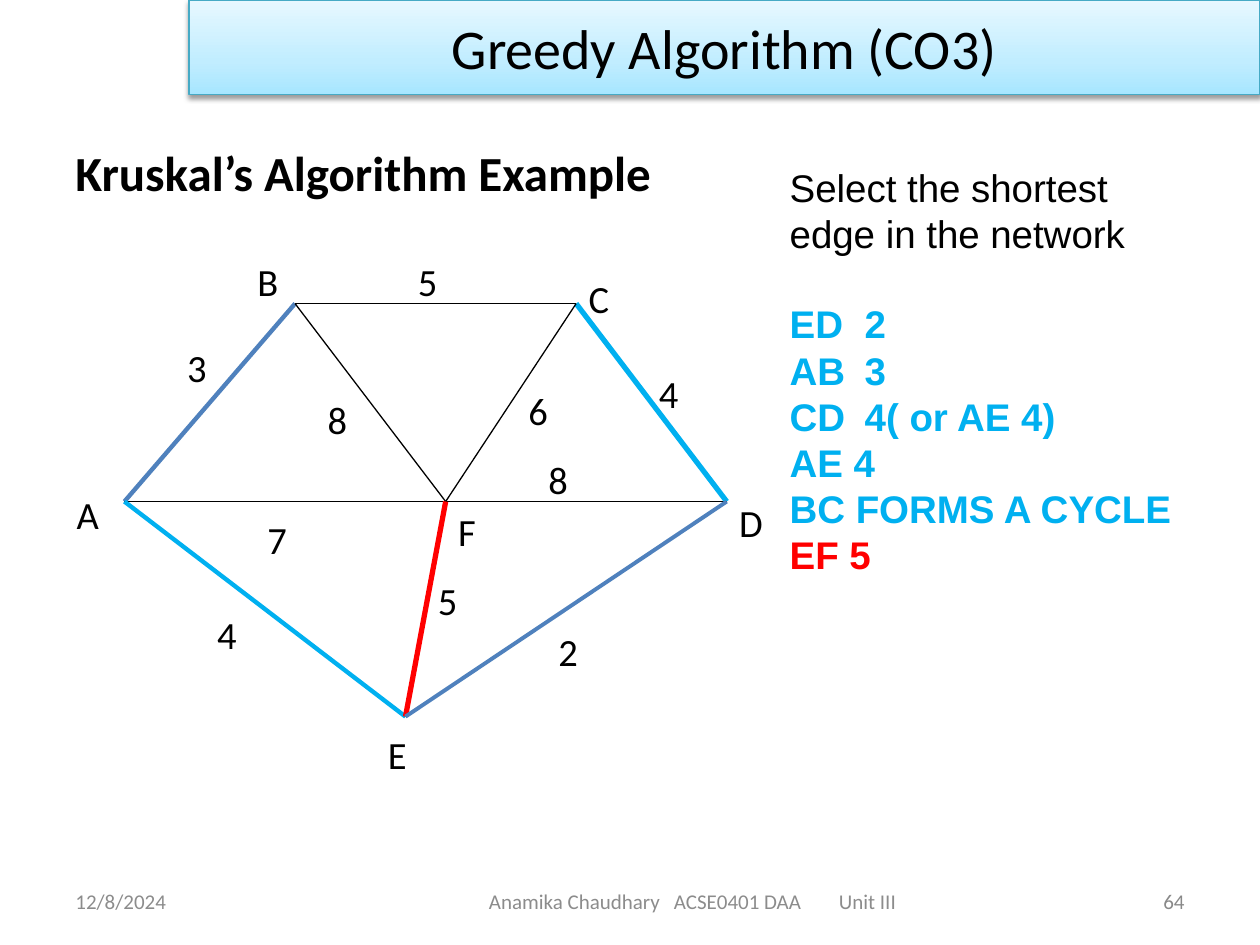
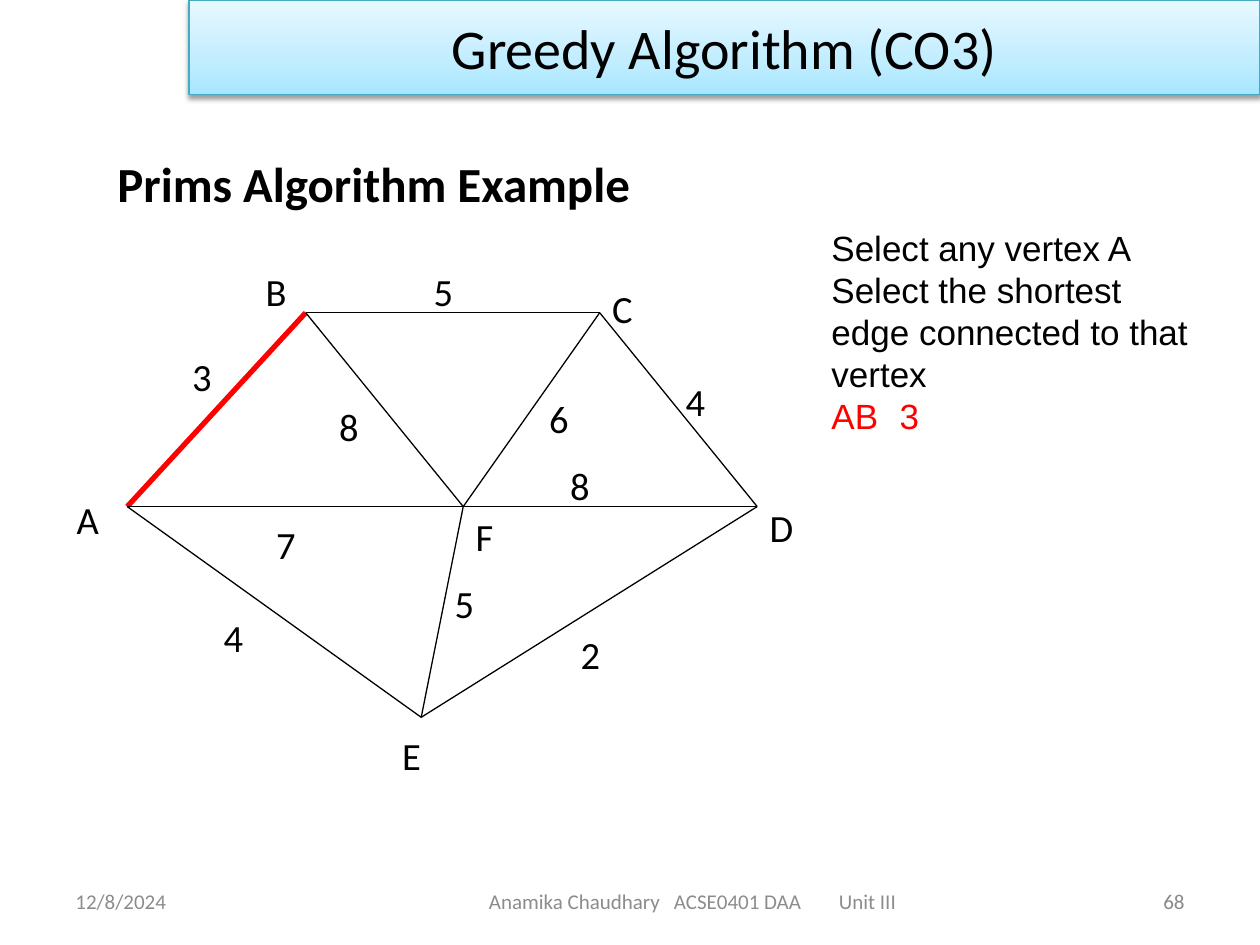
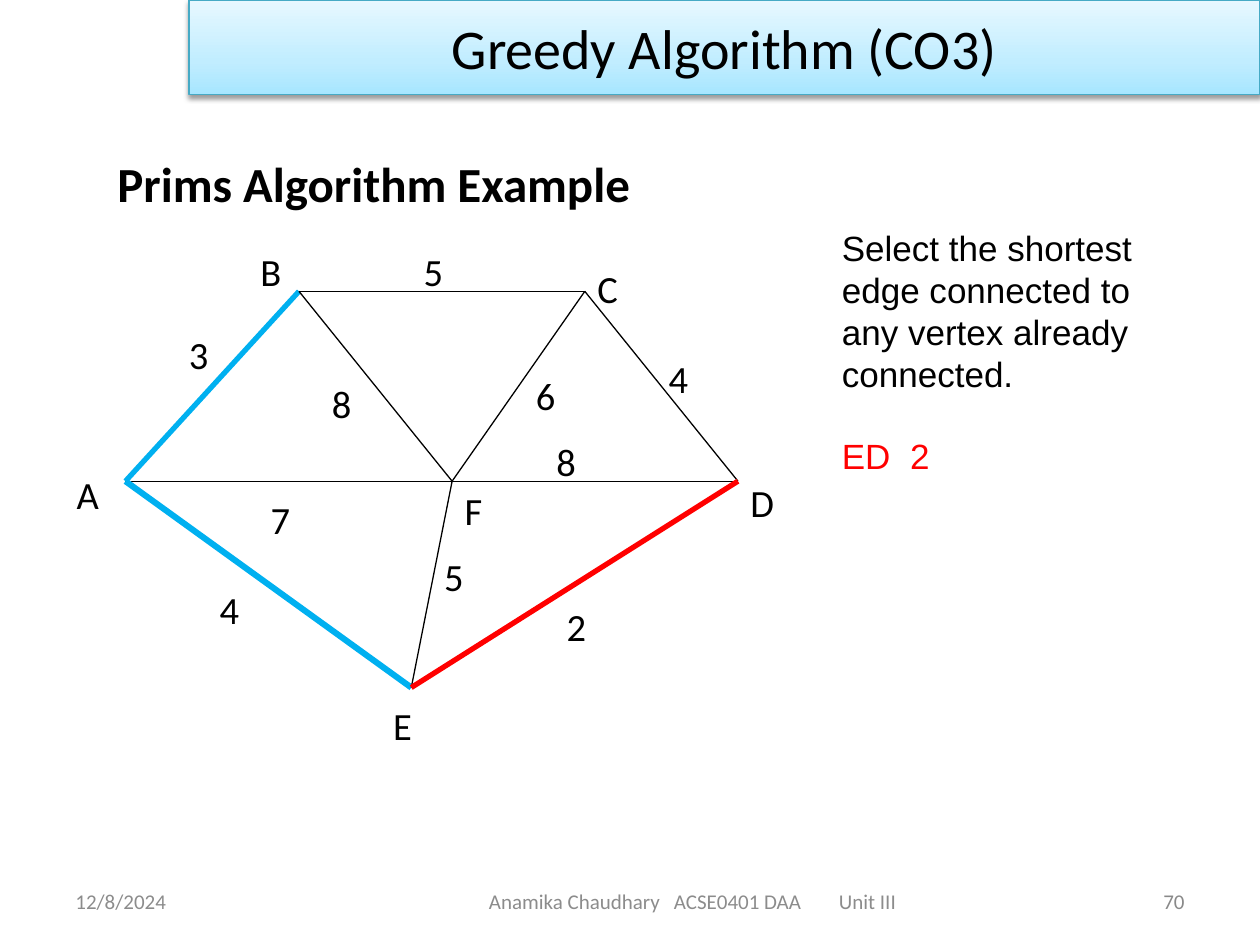
import pptx
import pptx.util
import pptx.dml.color
import pptx.enum.shapes
import pptx.enum.text
import pptx.oxml
import pptx.oxml.ns

Pt = pptx.util.Pt
ALIGN = pptx.enum.text.PP_ALIGN
ANCHOR = pptx.enum.text.MSO_ANCHOR
NS = pptx.oxml.ns.nsdecls("a")

BLACK, RED, SKY, BLUE = "000000", "FF0000", "00B0F0", "4F81BD"
GREY, NUMBER_GREY = "8C8C8C", "898989"
BAND_LINE = "46AAC5"
BAND_STOPS = [(0, "A7E6FF"), (35, "C1EDFF"), (100, "E7F8FF")]

TITLE = {"name": "Calibri", "size": Pt(32), "color": BLACK}
HEADING = {"name": "Calibri", "size": Pt(28), "color": BLACK, "bold": True}
LABEL = {"name": "Calibri", "size": Pt(22), "color": BLACK}
FOOTER = {"name": "Calibri", "size": Pt(12), "color": GREY}

BAND_BOX = (108, 0, 612, 54)
FOOTER_BOX = (36, 500.4, 648, 28.8)

GRID_COLS, GRID_ROWS = 72, 60
LABEL_COLS, LABEL_HEIGHT = 6, 34
VERTICES = {"A": (6, 29), "B": (23, 6), "C": (51, 6),
            "D": (66, 29), "E": (34, 54), "F": (38, 29)}
EDGES = ["AB", "BC", "CD", "AF", "FD", "BF", "FC", "AE", "EF", "ED"]
LABELS = [("A", 0, 27), ("F", 38, 29), ("B", 18, 0), ("C", 51, 2),
          ("D", 66, 28), ("E", 31, 55), ("2", 48, 43), ("7", 19, 30),
          ("4", 14, 41), ("5", 36, 37), ("8", 25, 16), ("6", 45, 15),
          ("4", 58, 13), ("5", 34, 0), ("3", 11, 10), ("8", 47, 23)]

SLIDES = [
    {"number": "64",
     "heading": ("Kruskal’s Algorithm Example", (36, 77.8, 438, 41)),
     "graph": (36.7, 144, 413, 295),
     "chosen": {"AB": (BLUE, 2.5), "CD": (SKY, 3), "AE": (SKY, 2.5),
                "EF": (RED, 3), "ED": (BLUE, 2.25)},
     "notes": {"box": (444.2, 90, 252, 300), "size": 22, "bold": True,
               "intro": ["Select the shortest", "edge in the network"],
               "gap": 25.3,
               "steps": [("ED\t2", SKY), ("AB\t3", SKY),
                         ("CD\t4( or AE 4)", SKY), ("AE 4", SKY),
                         ("BC FORMS A CYCLE", SKY), ("EF 5", RED)]}},
    {"number": "68",
     "heading": ("Prims Algorithm Example", (60, 84, 408, 41)),
     "graph": (36.7, 149.8, 432, 289),
     "chosen": {"AB": (RED, 3)},
     "notes": {"box": (468, 126, 228, 201), "size": 20, "bold": False,
               "intro": ["Select any vertex A",
                         "Select the shortest edge connected to that vertex"],
               "gap": 0,
               "steps": [("AB\t3", RED)]}},
    {"number": "70",
     "heading": ("Prims Algorithm Example", (60, 84, 408, 41)),
     "graph": (36.7, 138.2, 420, 283),
     "chosen": {"AB": (SKY, 3), "AE": (SKY, 3.5), "ED": (RED, 3)},
     "notes": {"box": (474, 126, 222, 225), "size": 20, "bold": False,
               "intro": ["Select the shortest", "edge connected to",
                         "any vertex already", "connected."],
               "gap": 23,
               "steps": [("ED\t2", RED)]}},
]


def rgb(value):
    return pptx.dml.color.RGBColor.from_string(value)


def lengths(box):
    return [Pt(v) for v in box]


def add_run(p, text, fmt):
    r = p.add_run()
    r.text = text
    for key, value in fmt.items():
        if key == "color":
            r.font.color.rgb = rgb(value)
        else:
            setattr(r.font, key, value)


def add_tabs(p, stops):
    tabs = "".join(f'<a:tab pos="{Pt(v)}" algn="l"/>' for v in stops)
    p._p.get_or_add_pPr().append(
        pptx.oxml.parse_xml(f"<a:tabLst {NS}>{tabs}</a:tabLst>"))


def add_text(shapes, box, text, fmt, align=ALIGN.LEFT, anchor=ANCHOR.TOP):
    tf = shapes.add_textbox(*lengths(box)).text_frame
    tf.word_wrap = True
    tf.vertical_anchor = anchor
    p = tf.paragraphs[0]
    p.alignment = align
    add_run(p, text, fmt)
    return tf


def add_band(s, box):
    sp = s.shapes.add_shape(pptx.enum.shapes.MSO_SHAPE.RECTANGLE, *lengths(box))
    sp.line.color.rgb = rgb(BAND_LINE)
    sp.line.width = Pt(0.75)
    stops = "".join(f'<a:gs pos="{pos * 1000}"><a:srgbClr val="{c}"/></a:gs>'
                    for pos, c in BAND_STOPS)
    sp._element.spPr.find(pptx.oxml.ns.qn("a:prstGeom")).addnext(pptx.oxml.parse_xml(
        f'<a:gradFill {NS} rotWithShape="1"><a:gsLst>{stops}</a:gsLst>'
        '<a:lin ang="16200000" scaled="0"/></a:gradFill>'))
    sp.shadow.inherit = False
    sp._element.spPr.find(pptx.oxml.ns.qn("a:effectLst")).append(pptx.oxml.parse_xml(
        f'<a:outerShdw {NS} blurRad="{Pt(3.1)}" dist="{Pt(1.6)}" dir="5400000" '
        'rotWithShape="0"><a:srgbClr val="000000"><a:alpha val="38000"/>'
        '</a:srgbClr></a:outerShdw>'))
    tf = sp.text_frame
    tf.vertical_anchor = ANCHOR.MIDDLE
    p = tf.paragraphs[0]
    p.alignment = ALIGN.CENTER
    add_run(p, "Greedy Algorithm (CO3)", TITLE)


def add_footer(s, box, number):
    x, y, w, h = box
    side = 168
    add_text(s.shapes, (x, y, side, h), "12/8/2024", FOOTER, anchor=ANCHOR.MIDDLE)
    tf = add_text(s.shapes, (x + 162, y, 396, h),
                  "Anamika Chaudhary\tACSE0401 DAA\tUnit III", FOOTER,
                  anchor=ANCHOR.MIDDLE)
    tf.margin_left = Pt(81.4)
    add_tabs(tf.paragraphs[0], [105.7, 200])
    add_text(s.shapes, (x + w - side, y, side, h), number,
             {**FOOTER, "color": NUMBER_GREY}, ALIGN.RIGHT, ANCHOR.MIDDLE)


def add_graph(s, box, chosen):
    x, y, w, h = box
    col, row = w / GRID_COLS, h / GRID_ROWS
    shapes = s.shapes.add_group_shape().shapes

    def place(c, r):
        return x + c * col, y + r * row

    for edge in EDGES:
        start, end = (place(*VERTICES[v]) for v in edge)
        color, width = chosen.get(edge, (BLACK, 0.75))
        cx = shapes.add_connector(pptx.enum.shapes.MSO_CONNECTOR.STRAIGHT,
                                  *lengths(start + end))
        cx.line.color.rgb = rgb(color)
        cx.line.width = Pt(width)
        cx._element.spPr.append(pptx.oxml.parse_xml(f"<a:effectLst {NS}/>"))
    for text, c, r in LABELS:
        add_text(shapes, (*place(c, r), LABEL_COLS * col, LABEL_HEIGHT), text, LABEL)


def add_notes(s, box, size, bold, intro, gap, steps):
    fmt = {"name": "Arial", "size": Pt(size), "color": BLACK}
    tf = add_text(s.shapes, box, intro[0], fmt)
    for line in intro[1:]:
        add_run(tf.add_paragraph(), line, fmt)
    for i, (line, color) in enumerate(steps):
        p = tf.add_paragraph()
        if "\t" in line:
            add_tabs(p, [size * 1.95])
        if i == 0 and gap:
            p.space_before = Pt(gap)
        add_run(p, line, {**fmt, "color": color, "bold": bold})


def add_example(prs, number, heading, graph, chosen, notes):
    s = prs.slides.add_slide(prs.slide_layouts[6])
    add_footer(s, FOOTER_BOX, number)
    add_band(s, BAND_BOX)
    text, box = heading
    add_text(s.shapes, box, text, HEADING)
    add_graph(s, graph, chosen)
    add_notes(s, **notes)


def main():
    prs = pptx.Presentation()
    prs.slide_width, prs.slide_height = Pt(720), Pt(540)
    for example in SLIDES:
        add_example(prs, **example)
    prs.save("out.pptx")


if __name__ == "__main__":
    main()
